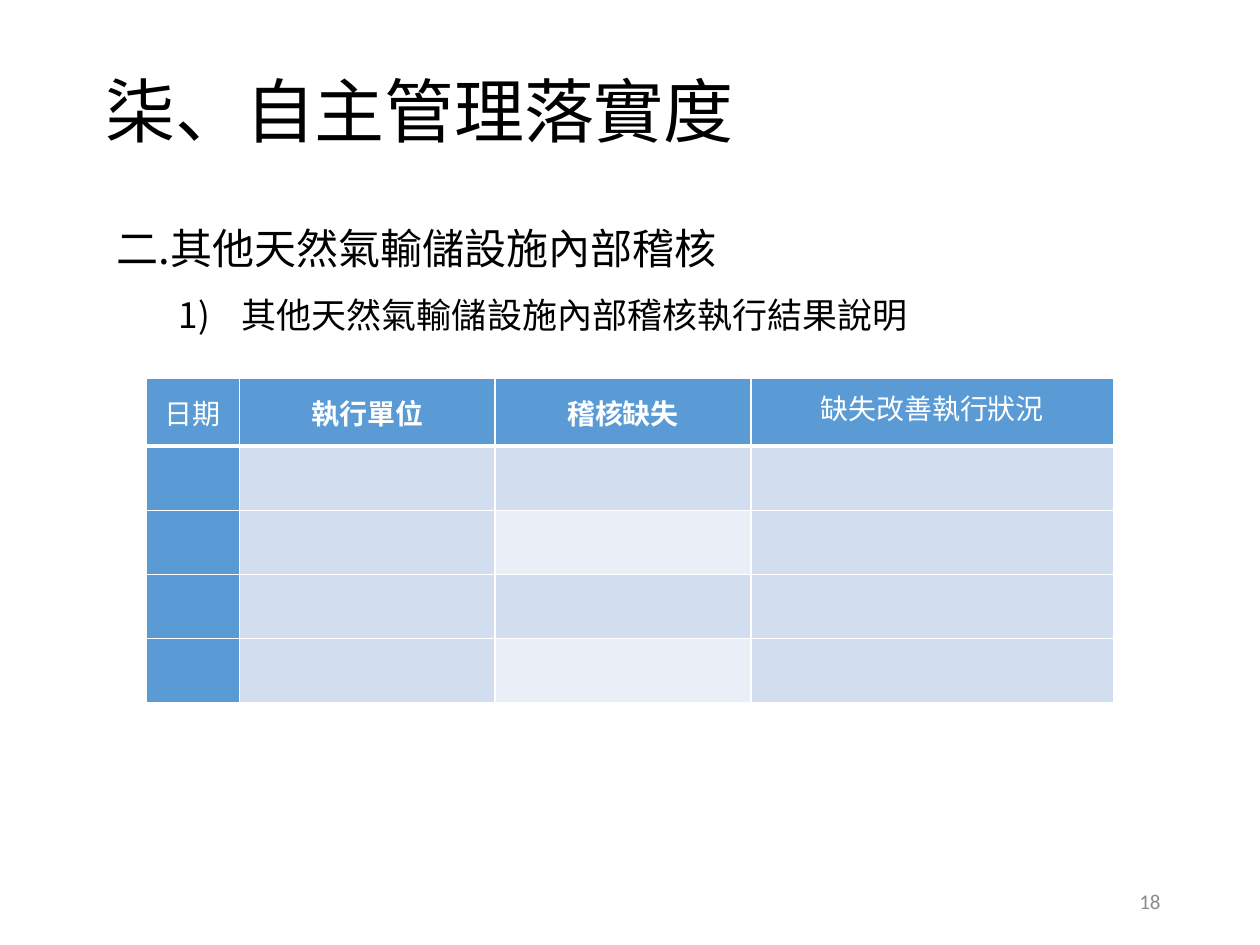
from dataclasses import dataclass

from lxml import etree
from pptx import Presentation
from pptx.dml.color import RGBColor
from pptx.enum.text import MSO_ANCHOR, MSO_AUTO_SIZE, PP_ALIGN
from pptx.oxml.ns import qn
from pptx.util import Inches, Pt

CENTER, LEFT, RIGHT = PP_ALIGN.CENTER, PP_ALIGN.LEFT, PP_ALIGN.RIGHT
MIDDLE = MSO_ANCHOR.MIDDLE
NO_FIT, GROW = MSO_AUTO_SIZE.NONE, MSO_AUTO_SIZE.SHAPE_TO_FIT_TEXT

BLACK = RGBColor(0x00, 0x00, 0x00)
WHITE = RGBColor(0xFF, 0xFF, 0xFF)
GRAY = RGBColor(0x8C, 0x8C, 0x8C)
BLUE = RGBColor(0x5B, 0x9B, 0xD5)
BAND_DARK = RGBColor(0xD2, 0xDE, 0xEF)
BAND_LIGHT = RGBColor(0xEA, 0xEF, 0xF7)

CJK_FONT = "Noto Sans CJK SC"
LATIN_FONT = "Calibri"


@dataclass
class Column:
    heading: str
    width: float
    bold: bool = False
    line_spacing: Pt | None = None


COLUMNS = [
    Column("日期", 0.74),
    Column("執行單位", 2.03, bold=True),
    Column("稽核缺失", 2.03, bold=True),
    Column("缺失改善執行狀況", 2.88, line_spacing=Pt(18)),
]
HEADER_HEIGHT, ROW_HEIGHT, BODY_ROWS = 0.54, 0.51, 4


def write(paragraph, text: str, *, size: float, color=BLACK, font=CJK_FONT,
          bold=False, align=LEFT, line_spacing=None, spacing=0) -> None:
    """Put one formatted run into a paragraph."""
    paragraph.alignment = align
    if line_spacing is not None:
        paragraph.line_spacing = line_spacing
    run = paragraph.add_run()
    run.text = text
    run.font.size = Pt(size)
    run.font.bold = bold
    run.font.color.rgb = color
    run.font.name = font
    properties = run.font._element
    etree.SubElement(properties, qn("a:ea"), typeface=font)
    if spacing:
        properties.set("spc", str(round(spacing * 100)))


def add_text_frame(slide, left: float, top: float, width: float, height: float,
                   auto_size=NO_FIT):
    shape = slide.shapes.add_textbox(
        Inches(left), Inches(top), Inches(width), Inches(height))
    frame = shape.text_frame
    frame.word_wrap = True
    frame.auto_size = auto_size
    frame.vertical_anchor = MIDDLE
    return frame


def set_indent(paragraph, left: float, first_line: float = 0) -> None:
    properties = paragraph._p.get_or_add_pPr()
    properties.set("marL", str(Inches(left)))
    properties.set("indent", str(Inches(first_line)))


def style_cell(cell, fill: RGBColor, bottom_width: float = 1) -> None:
    """White borders first, then the fill, as the schema orders them."""
    properties = cell._tc.get_or_add_tcPr()
    for side in "LRTB":
        width = bottom_width if side == "B" else 1
        line = etree.SubElement(properties, qn(f"a:ln{side}"), w=str(Pt(width)))
        solid = etree.SubElement(line, qn("a:solidFill"))
        etree.SubElement(solid, qn("a:srgbClr"), val=str(WHITE))
    cell.fill.solid()
    cell.fill.fore_color.rgb = fill


def body_fill(row: int, column: int) -> RGBColor:
    if column == 0:
        return BLUE
    return BAND_LIGHT if column == 2 and row % 2 == 0 else BAND_DARK


def add_audit_table(slide, left: float, top: float) -> None:
    width = sum(column.width for column in COLUMNS)
    height = HEADER_HEIGHT + BODY_ROWS * ROW_HEIGHT
    table = slide.shapes.add_table(
        BODY_ROWS + 1, len(COLUMNS), Inches(left), Inches(top),
        Inches(width), Inches(height)).table
    for index, row in enumerate(table.rows):
        row.height = Inches(ROW_HEIGHT if index else HEADER_HEIGHT)

    for index, column in enumerate(COLUMNS):
        table.columns[index].width = Inches(column.width)
        header = table.cell(0, index)
        style_cell(header, BLUE, bottom_width=3)
        header.vertical_anchor = MIDDLE
        header.margin_left = header.margin_right = Inches(0.07)
        header.margin_top = header.margin_bottom = 0
        write(header.text_frame.paragraphs[0], column.heading, size=16,
              color=WHITE, bold=column.bold, align=CENTER,
              line_spacing=column.line_spacing)
        for row in range(1, BODY_ROWS + 1):
            style_cell(table.cell(row, index), body_fill(row, index))


def main() -> None:
    presentation = Presentation()
    presentation.slide_width = Inches(10)
    presentation.slide_height = Inches(7.5)
    slide = presentation.slides.add_slide(presentation.slide_layouts[6])

    # Slide number
    number = add_text_frame(slide, 7.06, 6.95, 2.25, 0.4)
    write(number.paragraphs[0], "18", size=12, color=GRAY, font=LATIN_FONT,
          align=RIGHT)

    # Title
    title = add_text_frame(slide, 0.83, 0.61, 7.63, 0.61, GROW)
    title.margin_left = title.margin_right = 0
    title.margin_top = title.margin_bottom = 0
    set_indent(title.paragraphs[0], 0.01)
    write(title.paragraphs[0], "柒、自主管理落實度", size=40,
          line_spacing=0.9, spacing=-0.1)

    # Audit results table
    add_audit_table(slide, 1.16, 3)

    # Section heading and numbered item
    section = add_text_frame(slide, 0.83, 1.51, 7.83, 1.21, GROW)
    write(section.paragraphs[0], "二.其他天然氣輸儲設施內部稽核", size=24,
          line_spacing=1.5)
    item = section.add_paragraph()
    set_indent(item, 0.99, -0.5)
    etree.SubElement(item._p.get_or_add_pPr(), qn("a:buAutoNum"),
                     type="arabicParenR")
    write(item, "其他天然氣輸儲設施內部稽核執行結果說明", size=20,
          line_spacing=1.5)

    presentation.save("out.pptx")


if __name__ == "__main__":
    main()
